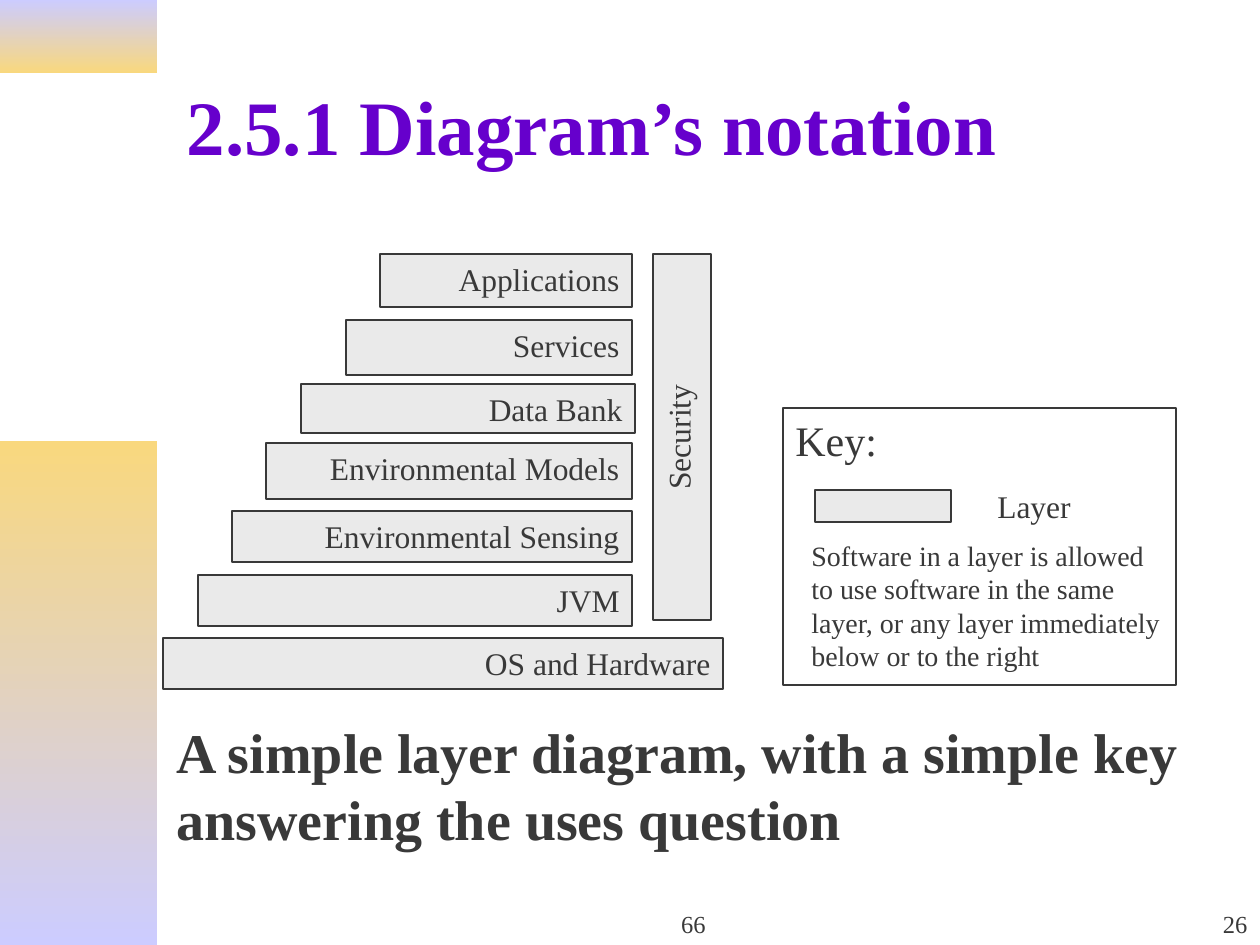
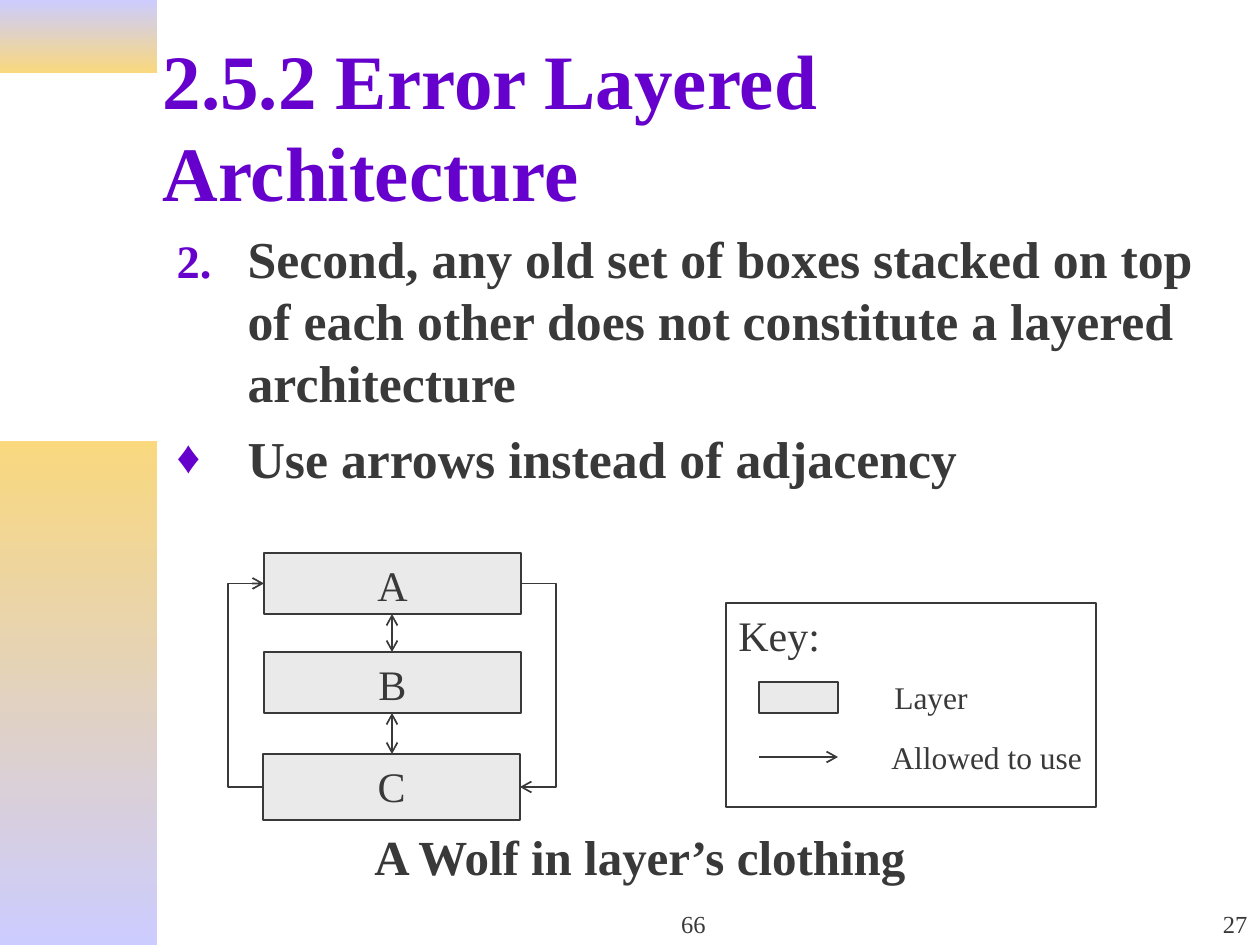
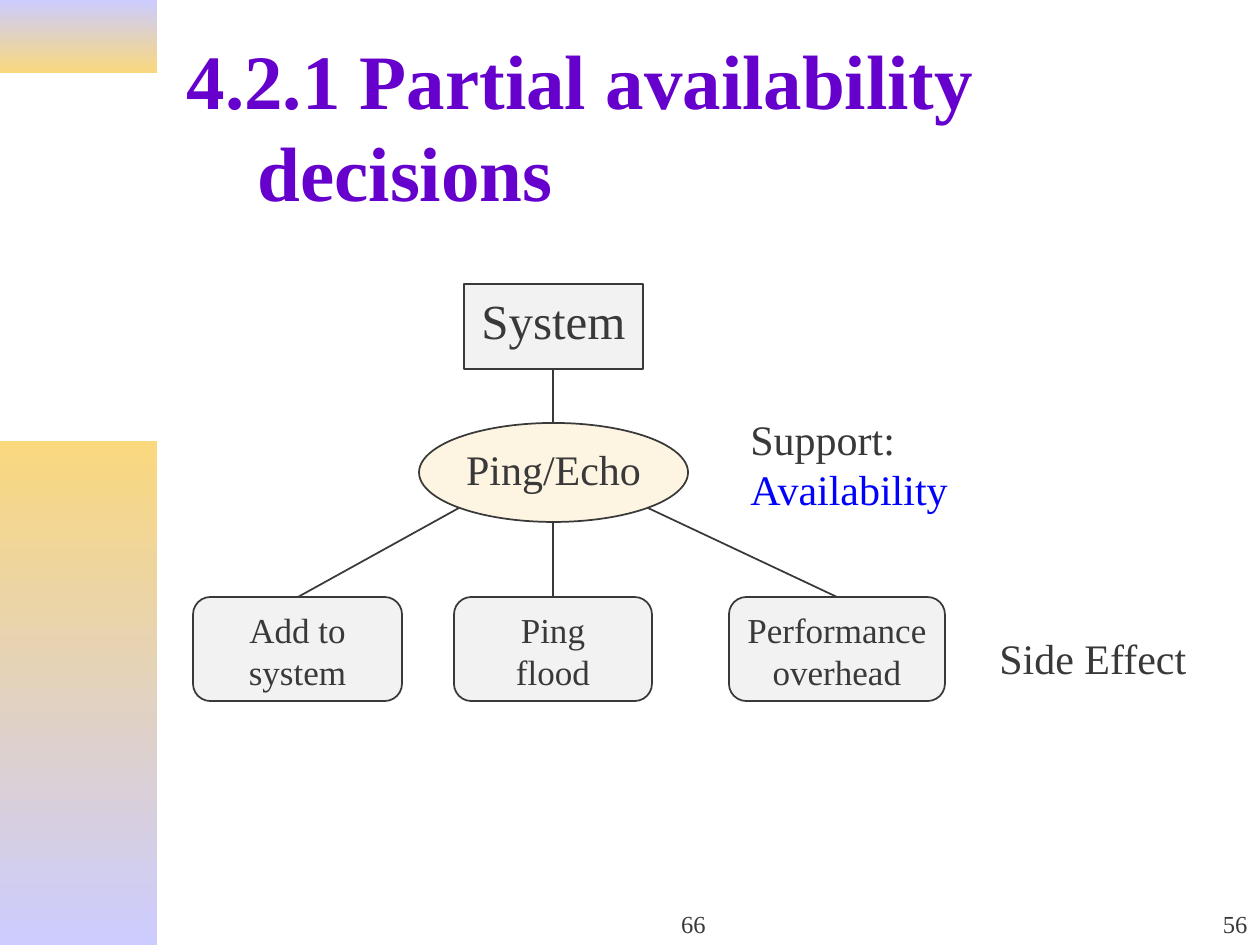
from lxml import etree
from pptx import Presentation
from pptx.dml.color import RGBColor
from pptx.enum.shapes import MSO_CONNECTOR, MSO_SHAPE
from pptx.enum.text import MSO_ANCHOR, MSO_AUTO_SIZE, PP_ALIGN
from pptx.oxml.ns import qn
from pptx.util import Pt

PX = 914400 / 126  # EMU in one px

FONT = "Times New Roman"
INK = RGBColor(0x39, 0x39, 0x39)
PURPLE = RGBColor(0x66, 0x00, 0xCC)
BLUE = RGBColor(0x00, 0x00, 0xFF)
LAVENDER = RGBColor(0xCC, 0xCC, 0xFF)
GOLD = RGBColor(0xF9, 0xD8, 0x7E)
CREAM = RGBColor(0xFB, 0xE9, 0xC0)
LAYER_GREY = RGBColor(0xEA, 0xEA, 0xEA)
NODE_GREY = RGBColor(0xF2, 0xF2, 0xF2)
WHITE = RGBColor(0xFF, 0xFF, 0xFF)

LEFT, CENTER, RIGHT = PP_ALIGN.LEFT, PP_ALIGN.CENTER, PP_ALIGN.RIGHT
TOP, MIDDLE, BOTTOM = MSO_ANCHOR.TOP, MSO_ANCHOR.MIDDLE, MSO_ANCHOR.BOTTOM
RECT, OVAL, ROUNDED = MSO_SHAPE.RECTANGLE, MSO_SHAPE.OVAL, MSO_SHAPE.ROUNDED_RECTANGLE
STRAIGHT, ELBOW = MSO_CONNECTOR.STRAIGHT, MSO_CONNECTOR.ELBOW
SITE_LEFT, SITE_RIGHT = 1, 3

TITLE_ONLY, TITLE_AND_BODY = 5, 1
HANGING = 71


def emu(*lengths):
    return [round(length * PX) for length in lengths]


def add_xml(parent, tag, **attributes):
    return etree.SubElement(parent, qn(tag), attributes)


# Text

def write(frame, lines, size, align=LEFT, color=INK, bold=False, anchor=TOP, wrap=False):
    """Fill a text frame with one paragraph per line."""
    frame.text = "\n".join(lines)
    frame.word_wrap = wrap
    frame.auto_size = MSO_AUTO_SIZE.NONE
    frame.vertical_anchor = anchor
    for para in frame.paragraphs:
        para.alignment = align
        para.space_before = Pt(0)
        para.font.name = FONT
        para.font.size = Pt(size)
        para.font.bold = bold
        para.font.color.rgb = color


def add_label(page, box, lines, size, **style):
    label = page.shapes.add_textbox(*emu(*box))
    write(label.text_frame, lines, size, **style)
    return label


def set_indent(para, margin, first_line):
    margin, first_line = emu(margin, first_line)
    properties = para._p.get_or_add_pPr()
    properties.set("marL", str(margin))
    properties.set("indent", str(first_line))
    return properties


def set_bullet(para, number=None, symbol=None):
    properties = set_indent(para, HANGING, -HANGING)
    color = add_xml(properties, "a:buClr")
    add_xml(color, "a:srgbClr", val=str(PURPLE))
    add_xml(properties, "a:buSzPct", val="90000")
    add_xml(properties, "a:buFont", typeface=FONT)
    if number:
        add_xml(properties, "a:buAutoNum", type="arabicPeriod", startAt=str(number))
    else:
        add_xml(properties, "a:buChar", char=symbol)


def place(placeholder, box):
    placeholder.left, placeholder.top, placeholder.width, placeholder.height = emu(*box)


def add_body(page, box, lines, size):
    body = page.placeholders[1]
    place(body, box)
    body.text_frame.text = "\n".join(lines)
    return body.text_frame


# Shapes and lines

def add_box(page, box, fill, lines=(), size=18, align=CENTER, kind=RECT):
    shape = page.shapes.add_shape(kind, *emu(*box))
    shape.shadow.inherit = False
    shape.fill.solid()
    shape.fill.fore_color.rgb = fill
    shape.line.color.rgb = INK
    shape.line.width = Pt(1)
    if lines:
        write(shape.text_frame, lines, size, align)
    return shape


def add_line(page, start, end, kind=STRAIGHT, head=False, tail=False):
    line = page.shapes.add_connector(kind, *emu(*start, *end))
    line.line.color.rgb = INK
    line.line.width = Pt(1)
    outline = line.line._get_or_add_ln()
    for wanted, tag in ((head, "a:headEnd"), (tail, "a:tailEnd")):
        if wanted:
            add_xml(outline, tag, type="arrow")
    add_xml(line._element.spPr, "a:effectLst")
    return line


def add_side_arrow(page, source, target, site):
    """Elbow arrow that leaves and enters on the same side of two boxes."""
    arrow = add_line(page, (0, 0), (0, 0), ELBOW, tail=True)
    arrow.begin_connect(source, site)
    arrow.end_connect(target, site)
    geometry = arrow._element.spPr.find(qn("a:prstGeom"))
    guides = geometry.find(qn("a:avLst"))
    if guides is None:
        guides = add_xml(geometry, "a:avLst")
    # The ends are 1 px apart, so the bend lies 35 widths outside
    add_xml(guides, "a:gd", name="adj1", fmla="val -3500000")


def add_key(page, frame, swatch, label):
    add_box(page, frame, WHITE, ["Key:"], 24, LEFT)
    add_box(page, swatch, LAYER_GREY)
    add_label(page, label, ["Layer"], 18)


# Parts shared by all slides

def add_band(page, top, height, colors):
    band = page.shapes.add_shape(RECT, *emu(0, top, 157, height))
    band.shadow.inherit = False
    band.line.fill.background()
    band.fill.gradient()
    band.fill.gradient_angle = 270
    for stop, position, color in zip(band.fill.gradient_stops, (0, 1), colors):
        stop.position = position
        stop.color.rgb = color


def add_page(deck, layout, title, number, left=174, width=1082):
    page = deck.slides.add_slide(deck.slide_layouts[layout])
    add_band(page, 0, 73, (LAVENDER, GOLD))
    add_band(page, 441, 504, (GOLD, LAVENDER))
    place(page.shapes.title, (left, 42, width, 166))
    write(page.shapes.title.text_frame, [title], 44, color=PURPLE,
          bold=True, anchor=MIDDLE, wrap=True)
    add_label(page, (494, 882, 399, 63), ["66"], 14, align=CENTER, anchor=BOTTOM, wrap=True)
    add_label(page, (998, 882, 262, 63), [number], 14, align=RIGHT, anchor=BOTTOM, wrap=True)
    return page


# Slides

def build_notation(deck):
    page = add_page(deck, TITLE_AND_BODY, "2.5.1 Diagram’s notation", "26")
    caption = add_body(page, (164, 711, 1091, 149), [
        "A simple layer diagram, with a simple key answering the uses question"], 32)
    write(caption, [caption.text], 32, bold=True, wrap=True)
    add_xml(set_indent(caption.paragraphs[0], 0, 0), "a:buNone")

    layers = [
        ("Applications", 380, 254, 252, 53),
        ("Services", 346, 320, 286, 55),
        ("Data Bank", 301, 384, 334, 49),
        ("Environmental Models", 266, 443, 366, 56),
        ("Environmental Sensing", 232, 511, 400, 51),
        ("JVM", 198, 575, 434, 51),
        ("OS and Hardware", 163, 638, 560, 51),
    ]
    for name, *box in layers:
        add_box(page, box, LAYER_GREY, [name], align=RIGHT)
    security = add_box(page, (499, 408, 366, 58), LAYER_GREY, ["Security"])
    security.rotation = 270

    add_key(page, (783, 408, 393, 277), (815, 490, 136, 32), (985, 481, 98, 50))
    add_label(page, (799, 532, 377, 147), [
        "Software in a layer is allowed to use software in the same layer, "
        "or any layer immediately below or to the right"], 16, wrap=True)


def build_error(deck):
    page = add_page(deck, TITLE_AND_BODY, "2.5.2 Error Layered Architecture", "27", 150, 1105)
    points = [
        "Second, any old set of boxes stacked on top of each other "
        "does not constitute a layered architecture",
        "Use arrows instead of adjacency",
    ]
    body = add_body(page, (164, 220, 1091, 282), points, 29.6)
    write(body, points, 29.6, bold=True, wrap=True)
    numbered, bulleted = body.paragraphs
    bulleted.space_before = Pt(8)
    set_bullet(numbered, number=2)
    set_bullet(bulleted, symbol="♦")

    # Layers and the arrows between them
    layer_a = add_box(page, (264, 553, 257, 61), LAYER_GREY, ["A"], 24)
    add_box(page, (264, 652, 257, 61), LAYER_GREY, ["B"], 24)
    layer_c = add_box(page, (263, 754, 257, 66), LAYER_GREY, ["C"], 24)
    for top, bottom in ((614, 652), (713, 754)):
        add_line(page, (392, top), (392, bottom), head=True, tail=True)
    add_side_arrow(page, layer_c, layer_a, SITE_LEFT)
    add_side_arrow(page, layer_a, layer_c, SITE_RIGHT)

    add_key(page, (726, 603, 370, 204), (759, 682, 79, 31), (882, 672, 98, 50))
    add_line(page, (759, 757), (838, 757), tail=True)
    add_label(page, (879, 732, 216, 50), ["Allowed to use"], 18)
    add_label(page, (362, 820, 563, 72), ["A Wolf in layer’s clothing"], 28, bold=True)


def build_availability(deck):
    page = add_page(deck, TITLE_ONLY, "4.2.1 Partial availability decisions", "56")
    set_indent(page.shapes.title.text_frame.paragraphs[0], HANGING, -HANGING)

    # Tree of nodes
    add_box(page, (464, 284, 179, 85), NODE_GREY, ["System"], 28)
    ping = add_box(page, (419, 423, 269, 99), CREAM, ["Ping/Echo"], 24, kind=OVAL)
    color = ping._element.spPr.find(qn("a:solidFill"))[0]
    add_xml(color, "a:alpha", val="46000")
    effects = [
        (["Add to", "system"], 193, 209),
        (["Ping", "flood"], 454, 198),
        (["Performance", "overhead"], 729, 216),
    ]
    for lines, left, width in effects:
        add_box(page, (left, 597, width, 104), NODE_GREY, lines, 20, kind=ROUNDED)

    add_line(page, (553, 369), (553, 423))
    for start, end in (((459, 508), (298, 597)),
                       ((553, 522), (553, 597)),
                       ((648, 508), (837, 597))):
        add_line(page, start, end)

    support = add_label(page, (738, 407, 226, 113), ["Support:", "Availability"], 24)
    support.text_frame.paragraphs[1].font.color.rgb = BLUE
    add_label(page, (987, 626, 213, 63), ["Side Effect"], 24)


def main():
    deck = Presentation()
    deck.slide_width, deck.slide_height = emu(1260, 945)
    build_notation(deck)
    build_error(deck)
    build_availability(deck)
    deck.save("out.pptx")


if __name__ == "__main__":
    main()
